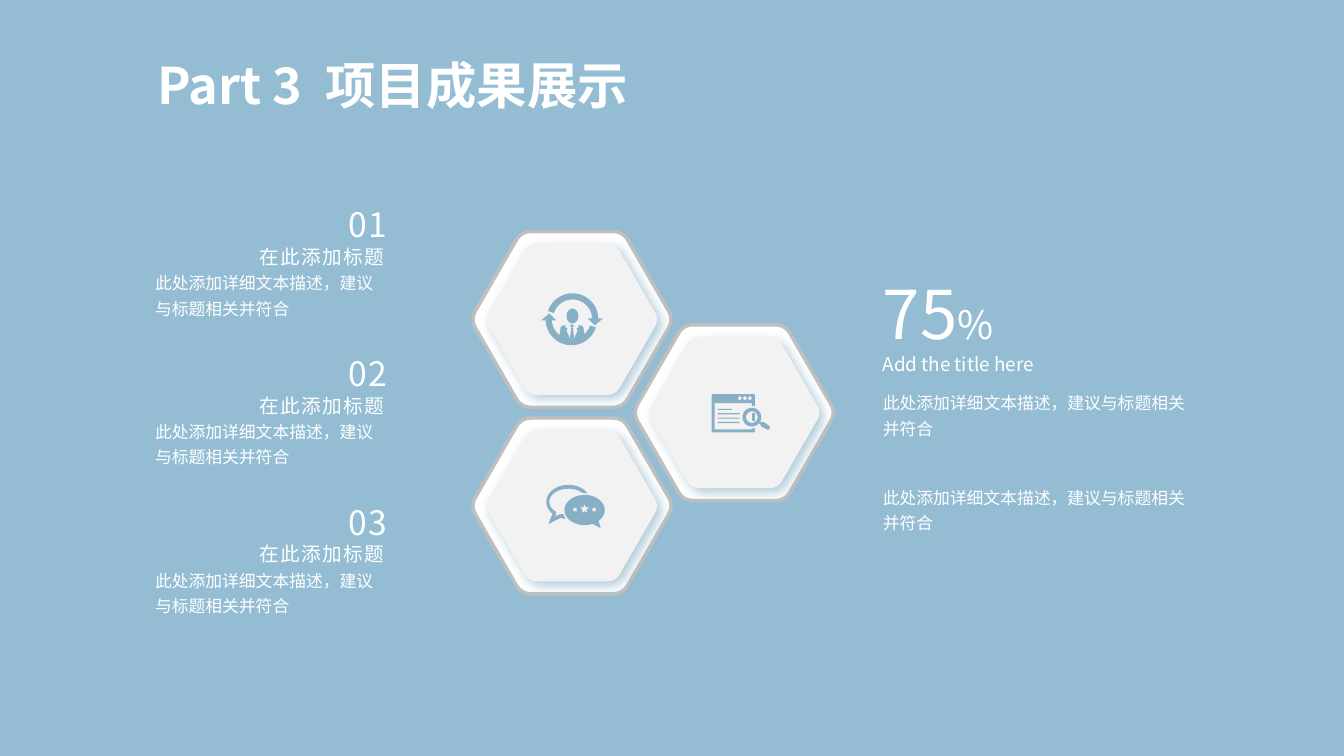
"""Build the project results slide with three hexagons, numbered notes and a percentage."""
from dataclasses import dataclass
from math import cos, hypot, radians, sin

from lxml.etree import SubElement
from pptx import Presentation
from pptx.dml.color import RGBColor
from pptx.enum.shapes import MSO_SHAPE
from pptx.enum.text import MSO_AUTO_SIZE, PP_ALIGN
from pptx.oxml.ns import qn
from pptx.util import Pt

SKY = RGBColor(0x94, 0xBD, 0xD4)
STEEL = RGBColor(0x87, 0xB0, 0xC7)
WHITE = RGBColor(0xFF, 0xFF, 0xFF)
PALE = RGBColor(0xF2, 0xF2, 0xF2)
RIM = RGBColor(0xBF, 0xBF, 0xBF)
FONT = "Noto Sans CJK SC"
DETAIL = "此处添加详细文本描述，建议与标题相关并符合"
CARD_STEP = 106.2

Point = tuple[float, float]
Outline = list[Point]


@dataclass(frozen=True)
class Run:
    text: str
    size: float
    spacing: float = 0
    bold: bool = False


@dataclass(frozen=True)
class Label:
    left: float
    top: float
    width: float
    height: float
    runs: tuple[Run, ...]
    align: PP_ALIGN = PP_ALIGN.LEFT
    wrap: bool = True
    line_spacing: float = 1.0


@dataclass(frozen=True)
class Icon:
    center: Point
    outlines: tuple[tuple[Outline, ...], ...]


def arc(cx: float, cy: float, rx: float, ry: float, start: float, end: float) -> Outline:
    angles = [radians(start + (end - start) * i / 36) for i in range(37)]
    return [(cx + rx * cos(a), cy + ry * sin(a)) for a in angles]


def circle(cx: float, cy: float, radius: float) -> Outline:
    return arc(cx, cy, radius, radius, 0, 360)


def band(cx: float, cy: float, outer: float, inner: float, start: float, end: float) -> Outline:
    return arc(cx, cy, outer, outer, start, end) + arc(cx, cy, inner, inner, end, start)


def box(left: float, top: float, width: float, height: float) -> Outline:
    right, bottom = left + width, top + height
    return [(left, top), (right, top), (right, bottom), (left, bottom)]


def star(cx: float, cy: float, radius: float) -> Outline:
    radii = [radius if i % 2 == 0 else radius * 0.45 for i in range(10)]
    return [(cx + d * sin(radians(36 * i)), cy - d * cos(radians(36 * i)))
            for i, d in enumerate(radii)]


def mirror(outline: Outline) -> Outline:
    return [(-x, y) for x, y in outline]


def toward(a: Point, b: Point, distance: float) -> Point:
    t = distance / hypot(b[0] - a[0], b[1] - a[1])
    return a[0] + (b[0] - a[0]) * t, a[1] + (b[1] - a[1]) * t


def rounded_hexagon(radius: float) -> Outline:
    corners = [(radius * cos(radians(60 * i)), radius * sin(radians(60 * i))) for i in range(6)]
    points: Outline = []
    for i, corner in enumerate(corners):
        a = toward(corner, corners[i - 1], radius / 10)
        b = toward(corner, corners[(i + 1) % 6], radius / 10)
        for t in (k / 8 for k in range(9)):
            u = 1 - t
            points.append((u * u * a[0] + 2 * u * t * corner[0] + t * t * b[0],
                           u * u * a[1] + 2 * u * t * corner[1] + t * t * b[1]))
    return points


def style(sp, fill: RGBColor) -> None:
    sp.shadow.inherit = False
    sp.fill.solid()
    sp.fill.fore_color.rgb = fill
    sp.line.fill.background()


def draw_outlines(s, center: Point, outlines: tuple[Outline, ...], fill: RGBColor):
    placed = [[(Pt(center[0] + x), Pt(center[1] + y)) for x, y in o] for o in outlines]
    builder = s.shapes.build_freeform(*placed[0][0], scale=1.0)
    builder.add_line_segments(placed[0][1:], close=True)
    for hole in placed[1:]:
        builder.move_to(*hole[0])
        builder.add_line_segments(hole[1:], close=True)
    sp = builder.convert_to_shape()
    style(sp, fill)
    return sp


def draw_tile(s, center: Point) -> None:
    rim = draw_outlines(s, center, (rounded_hexagon(72.5),), WHITE)
    rim.line.color.rgb = RIM
    rim.line.width = Pt(2.5)
    face = draw_outlines(s, center, (rounded_hexagon(62.2),), PALE)
    effects = face._element.spPr.find(qn("a:effectLst"))
    shadow = SubElement(effects, qn("a:outerShdw"), blurRad=str(Pt(8)), dist=str(Pt(4)),
                        dir="2700000", algn="tl", rotWithShape="0")
    color = SubElement(shadow, qn("a:srgbClr"), val=str(STEEL))
    SubElement(color, qn("a:alpha"), val="64000")


def draw_icon(s, icon: Icon) -> None:
    for outlines in icon.outlines:
        draw_outlines(s, icon.center, outlines, STEEL)


def draw_preset(s, kind: MSO_SHAPE, left: float, top: float, width: float, height: float) -> None:
    style(s.shapes.add_shape(kind, Pt(left), Pt(top), Pt(width), Pt(height)), STEEL)


def draw_label(s, label: Label) -> None:
    sp = s.shapes.add_textbox(Pt(label.left), Pt(label.top), Pt(label.width), Pt(label.height))
    tf = sp.text_frame
    tf.text = label.runs[0].text
    tf.word_wrap = label.wrap
    tf.auto_size = MSO_AUTO_SIZE.SHAPE_TO_FIT_TEXT
    p = tf.paragraphs[0]
    p.alignment = label.align
    p.line_spacing = label.line_spacing
    for run in label.runs[1:]:
        p.add_run().text = run.text
    for r, run in zip(p.runs, label.runs):
        r.font.size = Pt(run.size)
        r.font.bold = run.bold
        r.font.name = FONT
        r.font.color.rgb = WHITE
        rpr = r._r.get_or_add_rPr()
        SubElement(rpr, qn("a:ea"), typeface=FONT)
        if run.spacing:
            rpr.set("spc", str(int(run.spacing * 100)))


TEAM, CHAT, SEARCH = (408.6, 228.2), (408.6, 361.4), (524.5, 294.8)
JACKET = [(8.3, 6.5), (7.5, 4.7), (6.1, 4.2), (4, 4.3), (5.4, 5), (3.2, 6.5), (4, 7.9),
          (1.1, 14.4), (5.5, 13.5), (9, 11.5)]
KNOT = [(-1.3, 3.6), (1.3, 3.6), (0.8, 5.6), (-0.8, 5.6)]
TIE = [(-0.6, 5.8), (0.6, 5.8), (1.4, 13), (0.7, 14.4), (-0.7, 14.4), (-1.4, 13)]
WINDOW = [(14.8, -4.7), (12.6, -4.7), (12.6, -6.8), (-14, -6.8), (-14, 11.9), (12.6, 11.9),
          (12.6, 11.2), (14.8, 11.2), (14.8, 13.4), (14.2, 14), (-15.6, 14), (-16.2, 13.4),
          (-16.2, -12.7), (-15.6, -13.3), (14.2, -13.3), (14.8, -12.7)]
HANDLE = [(17.6, 7.6), (19.1, 6.6), (21.2, 6.8), (25, 9.4), (25.6, 11), (24.4, 12.2),
          (23.2, 11.9), (19.2, 9.8), (18.7, 8.4)]
BACK_TAIL = [(-16.9, 13), (-14, 11.5), (-8.3, 8.6), (-4.7, 9.4), (-6.1, 5.8), (-7.9, 5.8),
             (-11.9, 7.2), (-11.2, 4.3)]
BACK_BUBBLE = (arc(-2.5, -2.9, 15.8, 12.2, 330, 136) + BACK_TAIL
               + arc(-2.5, -2.9, 13.7, 9.4, 134, 317))
FRONT_BUBBLE = arc(9, 2.9, 14.4, 10.8, 67, 406) + [(20.5, 15.8)]

ICONS = (
    Icon(TEAM, ((JACKET,), (mirror(JACKET),), (KNOT,), (TIE,),
                (band(-0.4, 0, 18.4, 14, 180, 18),), (band(0.4, -0.3, 18.4, 14, 198, 360),),
                ([(-11.2, 0.7), (-16.2, -4.3), (-22, 0.7)],),
                ([(11.2, -0.7), (16.2, 4.3), (22, -0.7)],))),
    Icon(SEARCH, ((box(12.6, 0.4, 2.2, 5.7),),
                  (WINDOW, *(circle(x, -10.4, 1.3) for x in (4, 7.6, 11.2))),
                  (circle(12.6, 3.2, 6.7), circle(12.6, 3.2, 4.1), HANDLE))),
    Icon(CHAT, ((BACK_BUBBLE,),
                (FRONT_BUBBLE, star(2.2, 2.6, 2.2), star(9, 2.2, 3.5), star(15.8, 2.6, 2.2)))),
)
LABELS = (
    Label(623.5, 273.6, 239, 43.9, (Run(DETAIL, 12),), line_spacing=1.25),
    Label(623.5, 248.4, 165.6, 23.8, (Run("Add the title here", 13.5),)),
    Label(623.5, 190.8, 96.5, 65.5, (Run("75", 48), Run("%", 28)), wrap=False),
    Label(623.5, 341.3, 239.8, 43.9, (Run(DETAIL, 12),), line_spacing=1.25),
    Label(105.1, 35.3, 352.1, 51.1,
          (Run("Part 3", 36, bold=True), Run(" ", 36, 8, True), Run("项目成果展示", 36, bold=True)),
          wrap=False),
)


def main() -> None:
    prs = Presentation()
    prs.slide_width, prs.slide_height = Pt(960), Pt(540)
    s = prs.slides.add_slide(prs.slide_layouts[6])
    s.background.fill.solid()
    s.background.fill.fore_color.rgb = SKY
    for center in (TEAM, CHAT, SEARCH):
        draw_tile(s, center)
    draw_preset(s, MSO_SHAPE.OVAL, TEAM[0] - 4, TEAM[1] - 7.9, 8.6, 10.8)
    for i, width in enumerate((10.1, 15.8, 15.8, 15.8)):
        draw_preset(s, MSO_SHAPE.RECTANGLE, SEARCH[0] - 11.9, SEARCH[1] - 2.7 + 3.1 * i, width, 0.8)
    for icon in ICONS:
        draw_icon(s, icon)
    for i in range(3):
        dy = CARD_STEP * i
        draw_label(s, Label(103.7, 187.9 + dy, 177.1, 43.9, (Run(DETAIL, 12),), line_spacing=1.25))
        draw_label(s, Label(96.5, 171.4 + dy, 185, 24.5, (Run("在此添加标题", 14, 1),), PP_ALIGN.RIGHT))
        draw_label(s, Label(239.8, 142.4 + dy, 45.4, 36, (Run(f"{i + 1:02}", 24, 1),),
                            PP_ALIGN.CENTER, wrap=False))
    for label in LABELS:
        draw_label(s, label)
    prs.save("out.pptx")


if __name__ == "__main__":
    main()
